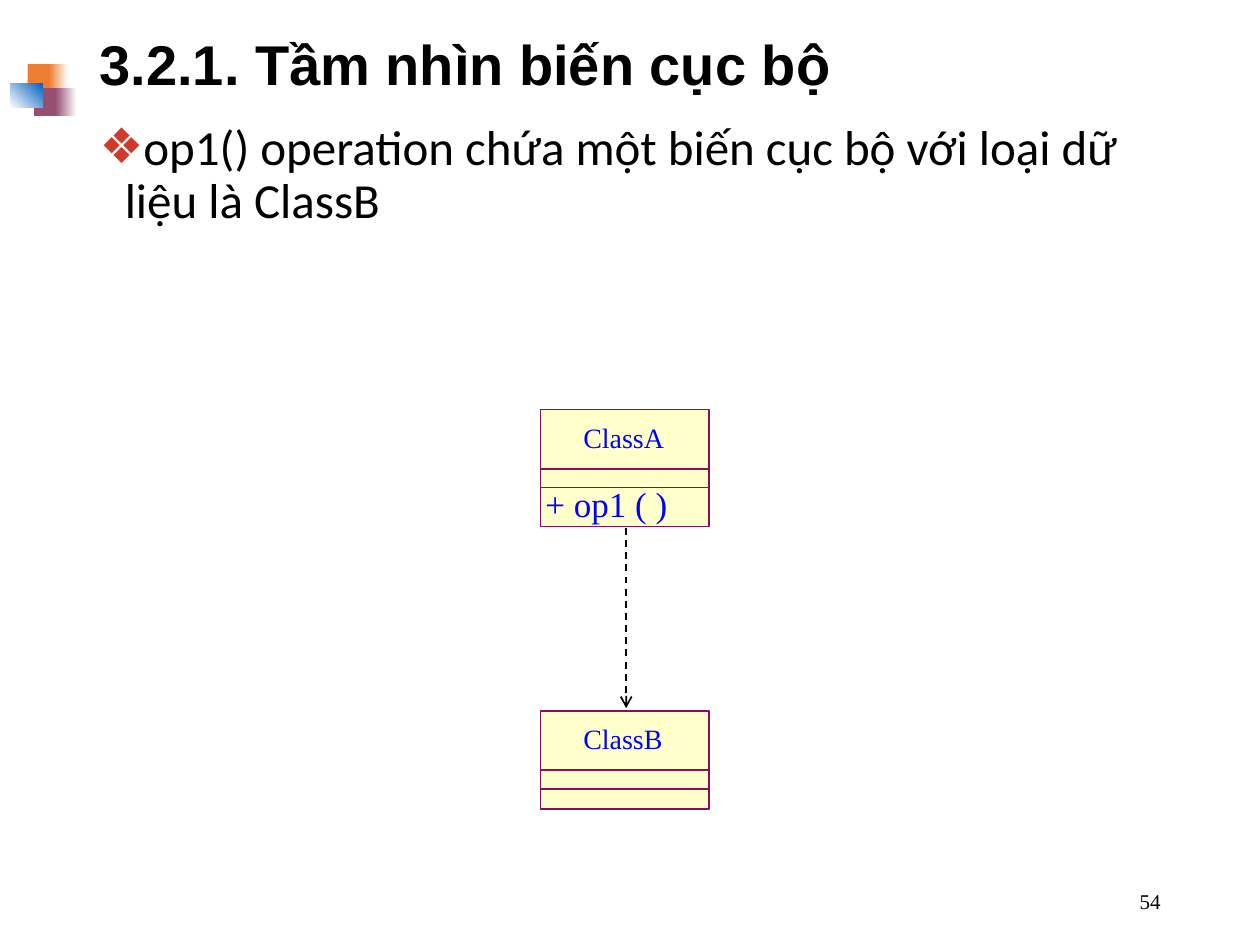
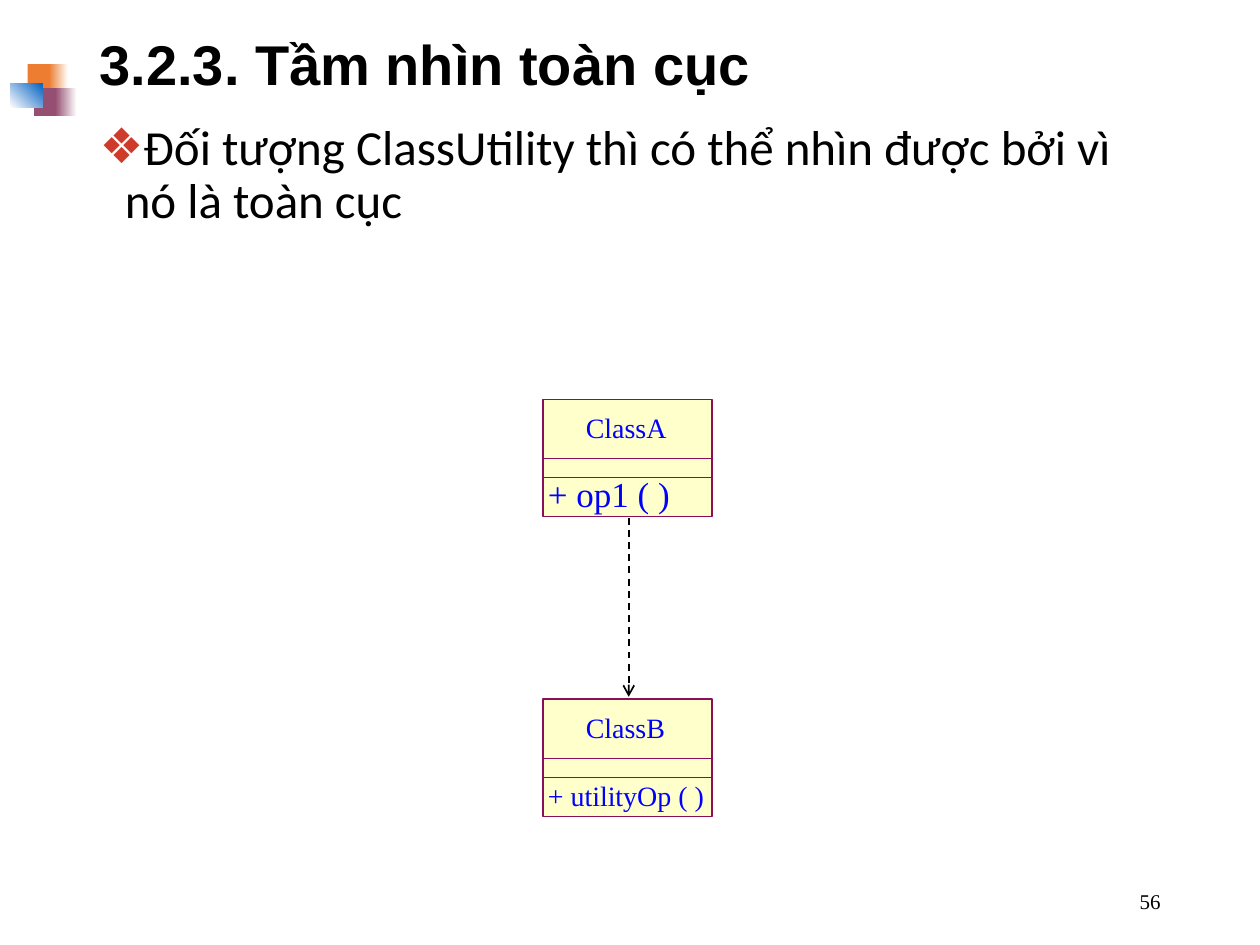
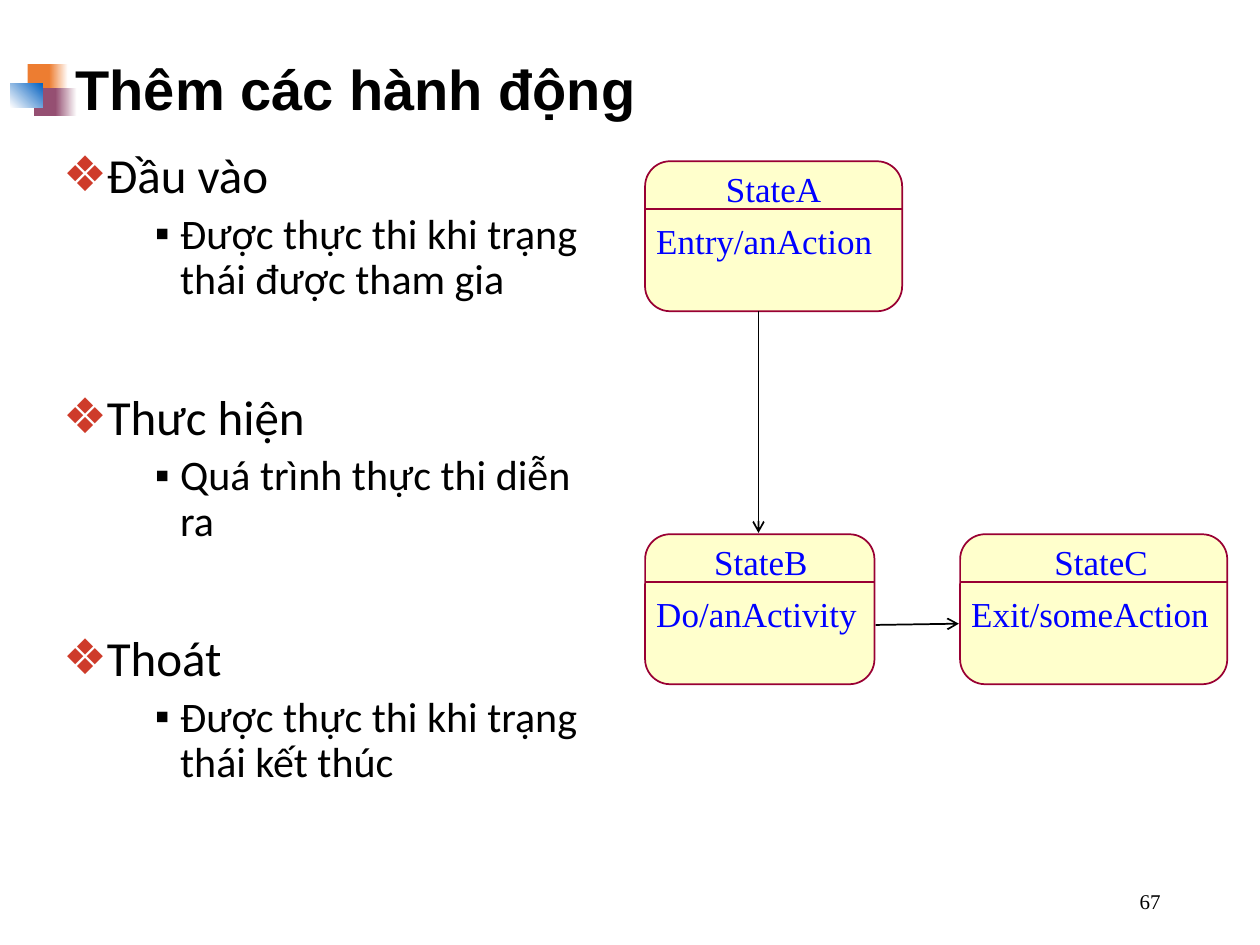
"""Build three slides on visibility and state actions in UML."""
from lxml import etree
from pptx import Presentation
from pptx.dml.color import RGBColor
from pptx.enum.dml import MSO_LINE
from pptx.enum.shapes import MSO_CONNECTOR, MSO_SHAPE
from pptx.enum.text import MSO_ANCHOR, MSO_AUTO_SIZE, PP_ALIGN
from pptx.oxml.ns import qn
from pptx.util import Inches, Pt

RECT, ROUND = MSO_SHAPE.RECTANGLE, MSO_SHAPE.ROUNDED_RECTANGLE
STRAIGHT, DASH = MSO_CONNECTOR.STRAIGHT, MSO_LINE.DASH
LEFT, CENTER, RIGHT = PP_ALIGN.LEFT, PP_ALIGN.CENTER, PP_ALIGN.RIGHT
MIDDLE, TOP = MSO_ANCHOR.MIDDLE, MSO_ANCHOR.TOP
NO_FIT, GROW = MSO_AUTO_SIZE.NONE, MSO_AUTO_SIZE.SHAPE_TO_FIT_TEXT

COLORS = {
    "text": "000000", "bullet": "CE3B2A", "label": "0000FF", "box": "FFFFCC",
    "class": "8A0E5E", "state": "990033", "white": "FFFFFF",
    "orange": "ED7D31", "plum": "954F72", "blue": "0563C1",
}
RGB = {name: RGBColor.from_string(value) for name, value in COLORS.items()}
HEAD, BODY, DIAGRAM = "Arial", "Calibri", "Times New Roman"


def add_run(p, text, font, size, color="text", align=LEFT, bold=False):
    p.alignment = align
    r = p.add_run()
    r.text = text
    r.font.name, r.font.size, r.font.bold = font, Pt(size), bold
    r.font.color.rgb = RGB[color]


def add_line(s, x1, y1, x2, y2, color="text", arrow=False):
    ln = s.shapes.add_connector(STRAIGHT, Inches(x1), Inches(y1), Inches(x2), Inches(y2))
    ln.line.color.rgb = RGB[color]
    ln.line.width = Pt(1)
    if arrow:
        etree.SubElement(ln.line._get_or_add_ln(), qn("a:tailEnd"), type="arrow")
    etree.SubElement(ln._element.spPr, qn("a:effectLst"))
    return ln


prs = Presentation()
prs.slide_width, prs.slide_height = Inches(10), Inches(7.5)

ornament = [
    (0.22, 0.51, 0.2, 0.22, "orange", None, 0),
    (0.39, 0.51, 0.15, 0.22, "orange", "white", 0),
    (0.27, 0.7, 0.19, 0.22, "plum", None, 0),
    (0.44, 0.7, 0.17, 0.22, "plum", "white", 0),
    (0.08, 0.66, 0.26, 0.19, "white", "blue", 45),
]
bullets = [("❖", "bullet", 0.2, 28), ("▪", "text", 0.93, 24)]
class_title, class_body = (0.69, 0.13, 8.62, 0.81), (0.69, 0.93, 8.62, 5.66)

pages = [
    ("54", "3.2.1. Tầm nhìn biến cục bộ", class_title, class_body,
     [(0, 0, "op1() operation chứa một biến cục bộ với loại dữ liệu là ClassB")]),
    ("56", "3.2.3. Tầm nhìn toàn cục", class_title, class_body,
     [(0, 0, "Đối tượng ClassUtility thì có thể nhìn được bởi vì nó là toàn cục")]),
    ("67", "Thêm các hành động", (0.5, 0.3, 9, 0.86), (0.4, 1.15, 4.57, 5.52),
     [(0, 0, "Đầu vào"),
      (1, 5, "Được thực thi khi trạng thái được tham gia"),
      (0, 51, "Thưc hiện"),
      (1, 5, "Quá trình thực thi diễn ra"),
      (0, 51, "Thoát"),
      (1, 5, "Được thực thi khi trạng thái\u00a0kết thúc")]),
]

for number, title, title_box, body_box, items in pages:
    s = prs.slides.add_slide(prs.slide_layouts[1])
    for x, y, w, h, start, end, angle in ornament:
        sp = s.shapes.add_shape(RECT, Inches(x), Inches(y), Inches(w), Inches(h))
        sp.shadow.inherit = False
        sp.line.fill.background()
        if end:
            sp.fill.gradient()
            sp.fill.gradient_angle = angle
            for stop, position, color in zip(sp.fill.gradient_stops, (0, 1), (start, end)):
                stop.position = position
                stop.color.rgb = RGB[color]
        else:
            sp.fill.solid()
            sp.fill.fore_color.rgb = RGB[start]

    body = s.placeholders[1]
    for sp, box, anchor in ((s.shapes.title, title_box, MIDDLE), (body, body_box, TOP)):
        sp.left, sp.top, sp.width, sp.height = map(Inches, box)
        sp.text_frame.auto_size = NO_FIT
        sp.text_frame.vertical_anchor = anchor
    p = s.shapes.title.text_frame.paragraphs[0]
    p.line_spacing = 0.9
    add_run(p, title, HEAD, 32, bold=True)

    tf = body.text_frame
    for i, (level, before, text) in enumerate(items):
        p = tf.paragraphs[0] if i == 0 else tf.add_paragraph()
        char, color, indent, size = bullets[level]
        pPr = p._p.get_or_add_pPr()
        pPr.set("marL", str(Inches(indent)))
        pPr.set("indent", str(Inches(-0.2)))
        clr = etree.SubElement(pPr, qn("a:buClr"))
        etree.SubElement(clr, qn("a:srgbClr"), val=COLORS[color])
        etree.SubElement(pPr, qn("a:buChar"), char=char)
        p.level = level
        p.line_spacing = 0.9
        p.space_before, p.space_after = Pt(before), Pt(0)
        add_run(p, text, BODY, size)

    sp = s.shapes.add_textbox(Inches(7.06), Inches(6.95), Inches(2.25), Inches(0.4))
    tf = sp.text_frame
    tf.word_wrap = True
    tf.vertical_anchor = MIDDLE
    add_run(tf.paragraphs[0], number, DIAGRAM, 12, align=RIGHT)

op1 = ("+ op1 ( )", 20, 0.53, 0.44)
utility_op = ("+ utilityOp ( )", 16, 0.58, 0.37)
diagrams = [
    (4.29, [("ClassA", 3.25, 0.93, op1), ("ClassB", 5.64, 0.78, None)]),
    (4.31, [("ClassA", 3.17, 0.93, op1), ("ClassB", 5.55, 0.93, utility_op)]),
]
for s, (x, classes) in zip(prs.slides, diagrams):
    for name, y, h, operation in classes:
        sp = s.shapes.add_shape(RECT, Inches(x), Inches(y), Inches(1.34), Inches(h))
        sp.shadow.inherit = False
        sp.fill.solid()
        sp.fill.fore_color.rgb = RGB["box"]
        sp.line.color.rgb = RGB["class"]
        sp.line.width = Pt(1)
        for dy in (0.47, 0.62):
            add_line(s, x, y + dy, x + 1.34, y + dy, "class")

        sp = s.shapes.add_textbox(Inches(x + 0.34), Inches(y + 0.09), Inches(0.65), Inches(0.27))
        tf = sp.text_frame
        tf.margin_left = tf.margin_right = tf.margin_top = tf.margin_bottom = 0
        tf.word_wrap = False
        tf.auto_size = GROW
        add_run(tf.paragraphs[0], name, DIAGRAM, 16, "label")

        if operation:
            text, size, dy, h = operation
            sp = s.shapes.add_textbox(Inches(x - 0.06), Inches(y + dy), Inches(1.75), Inches(h))
            tf = sp.text_frame
            tf.word_wrap = True
            tf.auto_size = GROW
            add_run(tf.paragraphs[0], text, DIAGRAM, size, "label")
    top, bottom = classes[0][1] + 0.94, classes[1][1] - 0.02
    add_line(s, x + 0.68, top, x + 0.68, bottom, arrow=True).line.dash_style = DASH

states = [
    ("StateA", "Entry/anAction", 5.12, 1.28, 2.04, 5.36, 1.56, 1.97),
    ("StateB", "Do/anActivity", 5.12, 4.24, 1.82, 5.36, 1.36, 1.81),
    ("StateC", "Exit/someAction", 7.62, 4.24, 2.12, 8.06, 1.36, 2.39),
]
s = prs.slides[2]
for name, action, x, y, w, name_x, name_w, action_w in states:
    sp = s.shapes.add_shape(ROUND, Inches(x), Inches(y), Inches(w), Inches(1.19))
    sp.adjustments[0] = 0.167
    sp.shadow.inherit = False
    sp.fill.solid()
    sp.fill.fore_color.rgb = RGB["box"]
    sp.line.color.rgb = RGB["state"]
    sp.line.width = Pt(1)
    add_line(s, x, y + 0.38, x + w, y + 0.38, "state")
    labels = [(name, name_x, y, name_w, CENTER), (action, x - 0.01, y + 0.41, action_w, LEFT)]
    for text, left, top, width, align in labels:
        sp = s.shapes.add_textbox(Inches(left), Inches(top), Inches(width), Inches(0.44))
        tf = sp.text_frame
        tf.word_wrap = True
        tf.auto_size = GROW
        add_run(tf.paragraphs[0], text, DIAGRAM, 20, "label", align)
add_line(s, 6.02, 2.47, 6.02, 4.23, arrow=True)
add_line(s, 6.95, 4.96, 7.61, 4.95, arrow=True)

prs.save("out.pptx")
